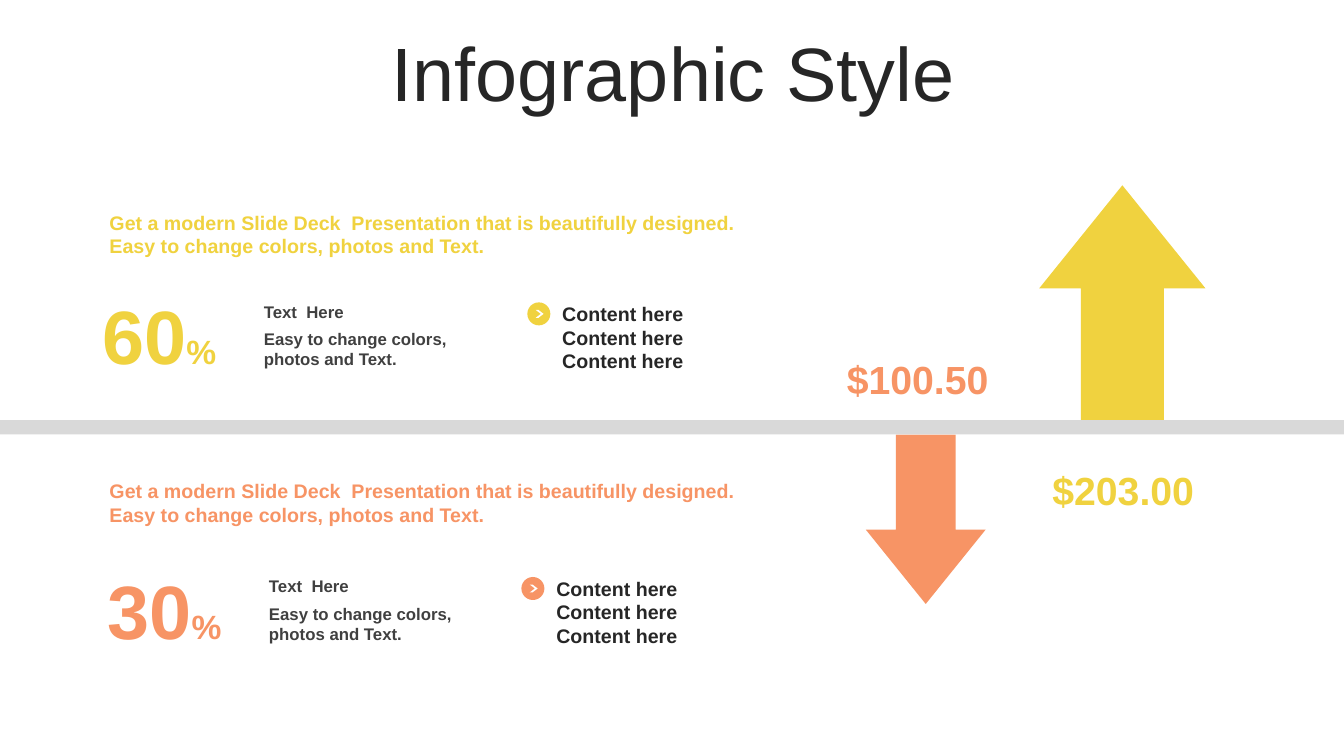
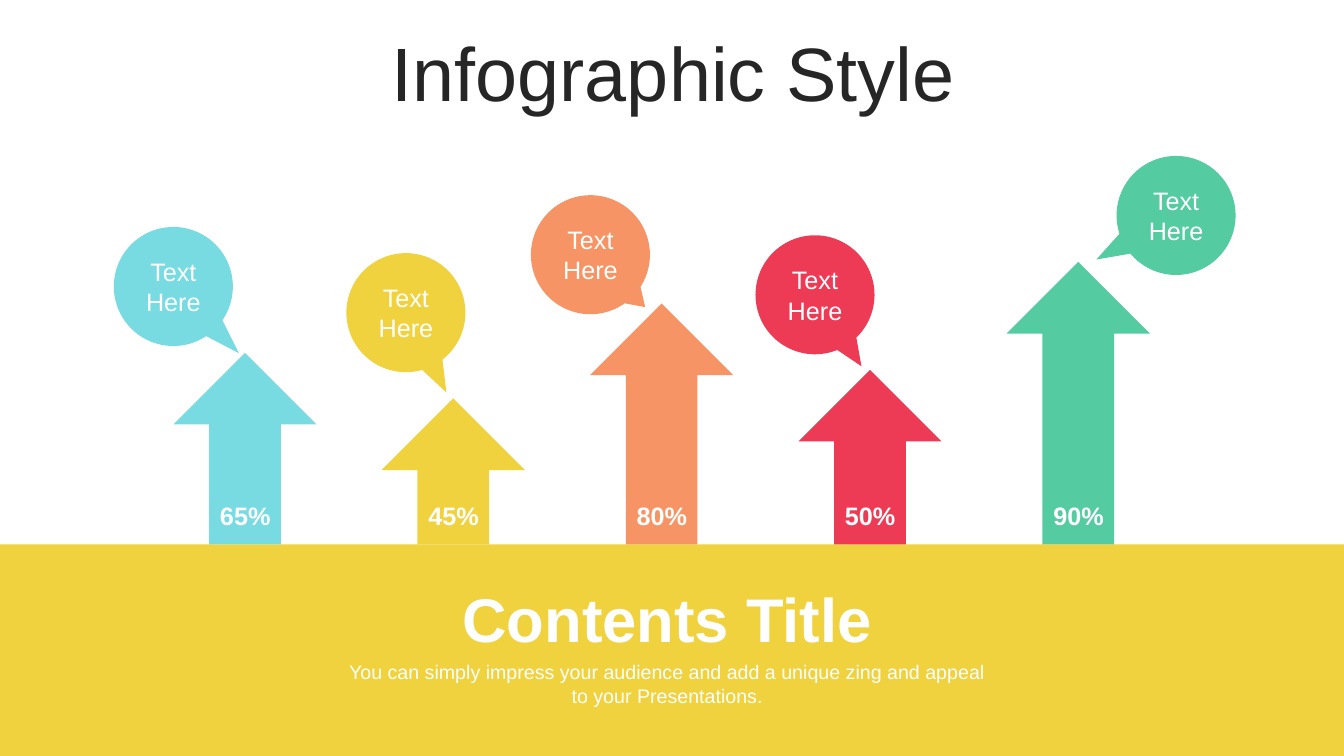
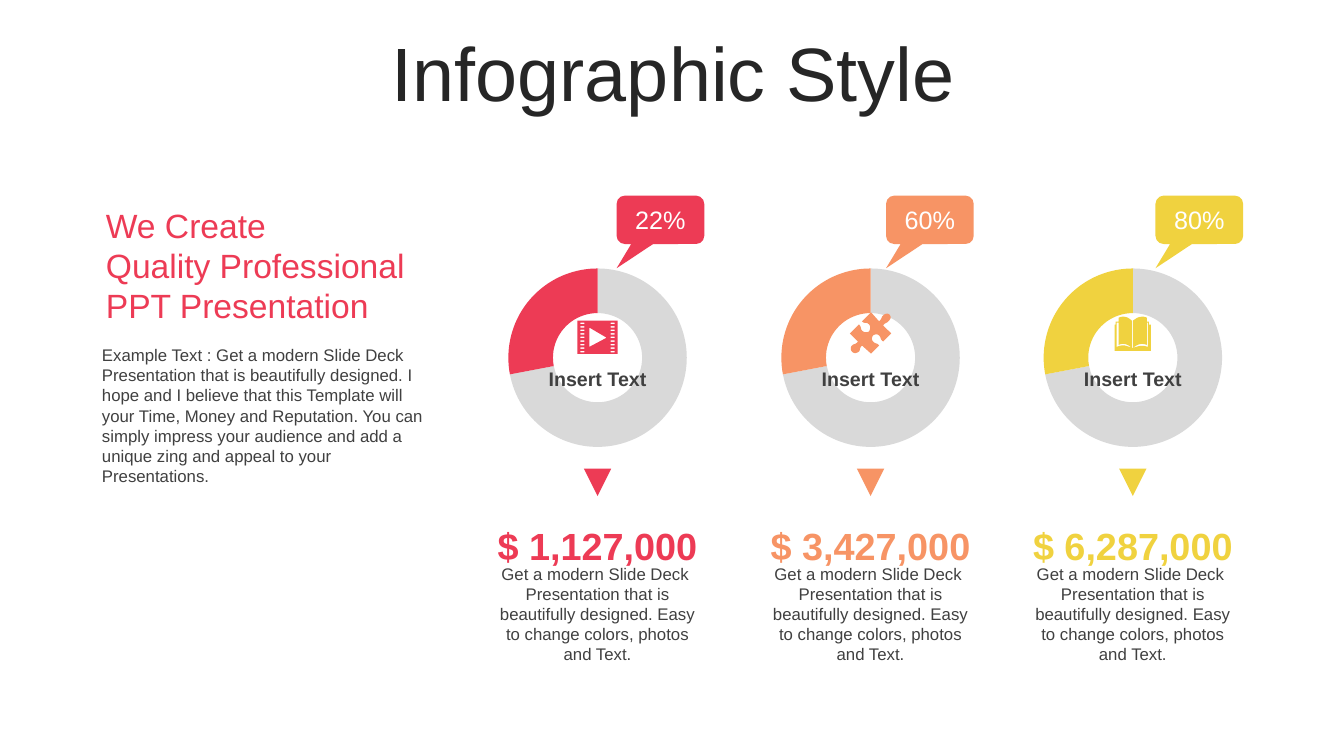
from lxml.etree import SubElement
from pptx import Presentation
from pptx.chart.data import CategoryChartData as ChartData
from pptx.dml.color import RGBColor
from pptx.enum.chart import XL_CHART_TYPE as Chart
from pptx.enum.shapes import MSO_SHAPE as Shape
from pptx.enum.text import MSO_ANCHOR as Anchor, PP_ALIGN as Align
from pptx.oxml.ns import qn
from pptx.util import Cm, Pt

# Shared style
FONT = "Arial"
WIDTH, HEIGHT = 33.87, 19.05
YELLOW = RGBColor(0xF0, 0xD2, 0x3F)
ORANGE = RGBColor(0xF7, 0x94, 0x65)
RED = RGBColor(0xED, 0x3B, 0x55)
GREEN = RGBColor(0x54, 0xCB, 0xA0)
AQUA = RGBColor(0x77, 0xDB, 0xE1)
WHITE = RGBColor(0xFF, 0xFF, 0xFF)
INK = RGBColor(0x26, 0x26, 0x26)
DARK = RGBColor(0x40, 0x40, 0x40)
GREY = RGBColor(0xD9, 0xD9, 0xD9)
INSET = (0.25, 0.13, 0.25, 0.13)
FLUSH = (0, 0, 0, 0)
BLURB = ("Get a modern Slide Deck  Presentation that is beautifully designed. "
         "Easy to change colors, photos and Text.")

# Icon outlines in hundredths of an inch: pairs are corners, sixes are curves
PUZZLE = [[
    (39, 2), (41, 4, 41, 6, 39, 8), (37, 11, 35, 10, 33, 13),
    (41, 21), (33, 29), (30, 27, 31, 25, 29, 23), (27, 21, 24, 22, 23, 23),
    (22, 24, 21, 27, 23, 29), (26, 32, 27, 30, 29, 33), (21, 41), (12, 33),
    (9, 36, 11, 36, 9, 39), (6, 41, 4, 41, 2, 39), (1, 38, 0, 35, 2, 33),
    (4, 31, 6, 32, 8, 29), (0, 21), (9, 12), (12, 15, 10, 17, 13, 19),
    (15, 20, 17, 20, 19, 19), (20, 17, 21, 14, 19, 12),
    (16, 9, 15, 12, 12, 9), (21, 0), (29, 9), (32, 6, 31, 5, 33, 3),
    (35, 1, 38, 1, 39, 2)]]
BOOK = [[
    (17, 31), (18, 31), (24, 29, 27, 28, 33, 30), (33, 6), (32, 6), (32, 28),
    (27, 26, 23, 27, 18, 31), (18, 4), (21, 2, 23, 0, 27, 0),
    (28, 0, 30, 0, 32, 1), (32, 5), (34, 5), (34, 8), (36, 8), (36, 34),
    (0, 34), (0, 8), (1, 8), (1, 5), (4, 5), (4, 1), (6, 0, 8, 0, 9, 0),
    (12, 0, 15, 2, 17, 4), (17, 31), (13, 27, 8, 26, 4, 28), (4, 6), (2, 6),
    (2, 30), (8, 27, 12, 29, 17, 31)]]


def ring(x, y, width, height):
    return [(x, y), (x + width, y), (x + width, y + height), (x, y + height)]


FILM = [ring(0, 0, 40, 33), [(12, 7), (12, 26), (29, 17)]] + [
    ring(x, 2 + 3.5 * row, 4, 1.5) for row in range(9) for x in (3, 33)]


# Building blocks
def write(shape, text, *, size, color, bold=False, align=Align.LEFT,
          anchor=Anchor.TOP, inset=INSET, space=None, unit=None):
    """Fill a shape with text; unit is an optional (text, size) ending."""
    frame = shape.text_frame
    frame.word_wrap = True
    frame.vertical_anchor = anchor
    (frame.margin_left, frame.margin_top,
     frame.margin_right, frame.margin_bottom) = map(Cm, inset)
    for num, line in enumerate(text.split("\n")):
        para = frame.add_paragraph() if num else frame.paragraphs[0]
        para.alignment = align
        para.line_spacing = space
        for part, points in [(line, size)] + ([unit] if unit else []):
            run = para.add_run()
            run.text = part
            run.font.name = FONT
            run.font.size = Pt(points)
            run.font.bold = bold
            run.font.color.rgb = color


def label(slide, box, text, **style):
    write(slide.shapes.add_textbox(*map(Cm, box)), text, **style)


def paint(shape, color):
    shape.shadow.inherit = False
    shape.fill.solid()
    shape.fill.fore_color.rgb = color
    shape.line.fill.background()
    return shape


def block(slide, kind, box, color, adjust=()):
    shape = slide.shapes.add_shape(kind, *map(Cm, box))
    for num, value in enumerate(adjust):
        shape.adjustments[num] = value
    return paint(shape, color)


def bubble(slide, kind, box, color, adjust, text):
    write(block(slide, kind, box, color, adjust), text, size=18, color=WHITE,
          align=Align.CENTER, anchor=Anchor.MIDDLE)


def trace(steps):
    """Turn corners and curves into points, in tenths of the icon unit."""
    points = []
    for step in steps:
        if len(step) == 2:
            points.append(step)
            continue
        ends = [points[-1], step[:2], step[2:4], step[4:]]
        for part in range(1, 7):
            t = part / 6
            mix = ((1 - t) ** 3, 3 * t * (1 - t) ** 2, 3 * t * t * (1 - t), t ** 3)
            points.append(tuple(sum(m * p[axis] for m, p in zip(mix, ends))
                                for axis in (0, 1)))
    return [(10 * x, 10 * y) for x, y in points]


def icon(slide, left, top, loops, color):
    first, *rest = map(trace, loops)
    pen = slide.shapes.build_freeform(*first[0], scale=Cm(0.00254))
    pen.add_line_segments(first[1:], close=True)
    for loop in rest:
        pen.move_to(*loop[0])
        pen.add_line_segments(loop[1:], close=True)
    paint(pen.convert_to_shape(Cm(left), Cm(top)), color)


def donut(slide, box, color):
    data = ChartData()
    data.categories = ["1", "2"]
    data.add_series("Series 1", (72, 28))
    chart = slide.shapes.add_chart(Chart.DOUGHNUT, *map(Cm, box), data).chart
    chart.has_legend = chart.has_title = False
    chart.font.name = FONT
    chart.font.size = Pt(18)
    chart.font.color.rgb = RGBColor(0, 0, 0)
    plot = chart.plots[0]
    plot.has_data_labels = False
    plot.vary_by_categories = True
    for num, shade in enumerate((GREY, color)):
        style = plot.series[0].points[num].format
        style.fill.solid()
        style.fill.fore_color.rgb = shade
        style.line.fill.background()
    # Hole size and plot margins
    area = chart.element.find(".//" + qn("c:plotArea"))
    area.find(".//" + qn("c:holeSize")).set("val", "78")
    for old in area.findall(qn("c:layout")):
        area.remove(old)
    layout = SubElement(area, qn("c:layout"))
    area.insert(0, layout)
    manual = SubElement(layout, qn("c:manualLayout"))
    for tag, value in (("layoutTarget", "inner"), ("xMode", "edge"),
                       ("yMode", "edge"), ("x", "0.07"), ("y", "0.07"),
                       ("w", "0.86"), ("h", "0.86")):
        SubElement(manual, qn("c:" + tag)).set("val", value)


def start(deck):
    slide = deck.slides.add_slide(deck.slide_layouts[6])
    label(slide, (0.89, 0.94, 32.16, 2.01), "Infographic Style", size=54,
          color=INK, align=Align.CENTER, anchor=Anchor.MIDDLE, space=0.9)
    return slide


# Slide 1: two panels and two arrows
def panel(slide, color, number, head, left, top, list_left):
    label(slide, (2.51, head, 16.48, 1.45), BLURB, size=14, color=color, bold=True)
    label(slide, (left - 4.19, top - 0.31, 3.61, 2.57), number, size=54,
          color=color, bold=True, align=Align.CENTER, unit=("%", 24))
    label(slide, (left, top, 5.26, 0.76), "Text  Here", size=12, color=DARK,
          bold=True, anchor=Anchor.MIDDLE)
    label(slide, (left, top + 0.69, 5.26, 1.27),
          "Easy to change colors, photos and Text.", size=12, color=DARK, bold=True)
    dot, mid = list_left - 0.63, top + 0.15
    block(slide, Shape.OVAL, (dot, mid, 0.58, 0.58), color)
    block(slide, Shape.CHEVRON, (dot + 0.21, mid + 0.19, 0.2, 0.2), WHITE, (0.65,))
    label(slide, (list_left, top, 3.8, 2.06), "\n".join(["Content here"] * 3),
          size=14, color=INK, bold=True, anchor=Anchor.MIDDLE)


def rise_fall(deck):
    slide = start(deck)
    block(slide, Shape.UP_ARROW, (26.19, 4.67, 4.19, 5.92), YELLOW, (0.5, 0.62))
    block(slide, Shape.DOWN_ARROW, (21.82, 10.95, 3.02, 4.27), ORANGE, (0.5, 0.62))
    for left, top, price, color in ((20.7, 8.81, "$100.50", ORANGE),
                                    (25.88, 11.61, "$203.00", YELLOW)):
        label(slide, (left, top, 4.85, 1.45), price, size=28, color=color,
              bold=True, align=Align.CENTER, anchor=Anchor.MIDDLE)
    panel(slide, YELLOW, "60", 5.18, 6.4, 7.47, 13.92)
    panel(slide, ORANGE, "30", 11.94, 6.53, 14.39, 13.77)
    block(slide, Shape.RECTANGLE, (0, 10.59, WIDTH, 0.36), GREY)


# Slide 2: five arrows on a band
def growth(deck):
    slide = start(deck)
    base = 13.72
    block(slide, Shape.RECTANGLE, (0, base, WIDTH, HEIGHT - base), YELLOW)
    # Share, colour, arrow top, bubble corner, bubble tip
    bars = (
        ("65%", AQUA, 8.89, (2.87, 5.72), (0.55, 0.56)),
        ("45%", YELLOW, 10.04, (8.73, 6.38), (0.34, 0.67)),
        ("80%", ORANGE, 7.65, (13.38, 4.92), (0.46, 0.44)),
        ("50%", RED, 9.32, (19.04, 5.93), (0.39, 0.6)),
        ("90%", GREEN, 6.6, (28.14, 3.93), (-0.67, 0.37)),
    )
    for num, (share, color, top, spot, tip) in enumerate(bars):
        left = 4.37 + 5.25 * num
        block(slide, Shape.UP_ARROW, (left, top, 3.61, base - top), color)
        bubble(slide, Shape.OVAL_CALLOUT, (*spot, 3, 3), color, tip, "Text Here")
        label(slide, (left + 0.83, 12.47, 1.96, 1.02), share, size=18,
              color=WHITE, bold=True, align=Align.CENTER)
    inset = (0, 0.13, 0.2, 0.13)
    label(slide, (11.46, 14.5, 10.92, 2.13), "Contents Title", size=44,
          color=WHITE, bold=True, align=Align.CENTER, inset=inset)
    label(slide, (8.56, 16.51, 16.71, 1.45),
          "You can simply impress your audience and add a unique zing and "
          "appeal to your Presentations.",
          size=14, color=WHITE, align=Align.CENTER, inset=inset)


# Slide 3: three doughnuts with captions
def column(slide, mid, tip, color, share, amount, loops, icon_top):
    def centred(width, top, height):
        return mid - width / 2, top, width, height

    donut(slide, centred(5.23, 6.4, 5.23), color)
    bubble(slide, Shape.ROUNDED_RECTANGULAR_CALLOUT, (tip, 4.93, 2.21, 1.22),
           color, (-0.5, 1, 0.17), share)
    label(slide, centred(3, 9.25, 0.61), "Insert Text", size=14, color=DARK,
          bold=True, align=Align.CENTER, inset=FLUSH)
    block(slide, Shape.FLOWCHART_MERGE, centred(0.69, 11.81, 0.69), color)
    label(slide, centred(5.31, 13.18, 1.14), amount, size=27, color=color,
          bold=True, align=Align.CENTER, inset=FLUSH)
    label(slide, centred(5.31, 14.2, 2.57), BLURB, size=12, color=DARK,
          align=Align.CENTER, inset=FLUSH)
    wide = max(step[-2] for step in loops[0]) * 0.0254
    icon(slide, mid - wide / 2, icon_top, loops, color)


def sales(deck):
    slide = start(deck)
    column(slide, 15.06, 15.54, RED, "22%", "$ 1,127,000", FILM, 8.08)
    column(slide, 21.94, 22.33, ORANGE, "60%", "$ 3,427,000", PUZZLE, 7.87)
    column(slide, 28.55, 29.12, YELLOW, "80%", "$ 6,287,000", BOOK, 7.98)
    label(slide, (2.57, 5.16, 8.46, 3.07),
          "We Create\nQuality Professional\nPPT Presentation", size=24,
          color=RED, inset=(0.1, 0, 0.1, 0))
    label(slide, (2.57, 8.69, 8.46, 3.58),
          "Example Text : Get a modern Slide Deck  Presentation that is "
          "beautifully designed. I hope and I believe that this Template will "
          "your Time, Money and Reputation. You can simply impress your "
          "audience and add a unique zing and appeal to your Presentations.",
          size=12, color=DARK, inset=FLUSH)


def main():
    deck = Presentation()
    deck.slide_width, deck.slide_height = Cm(WIDTH), Cm(HEIGHT)
    rise_fall(deck)
    growth(deck)
    sales(deck)
    deck.save("out.pptx")


if __name__ == "__main__":
    main()
